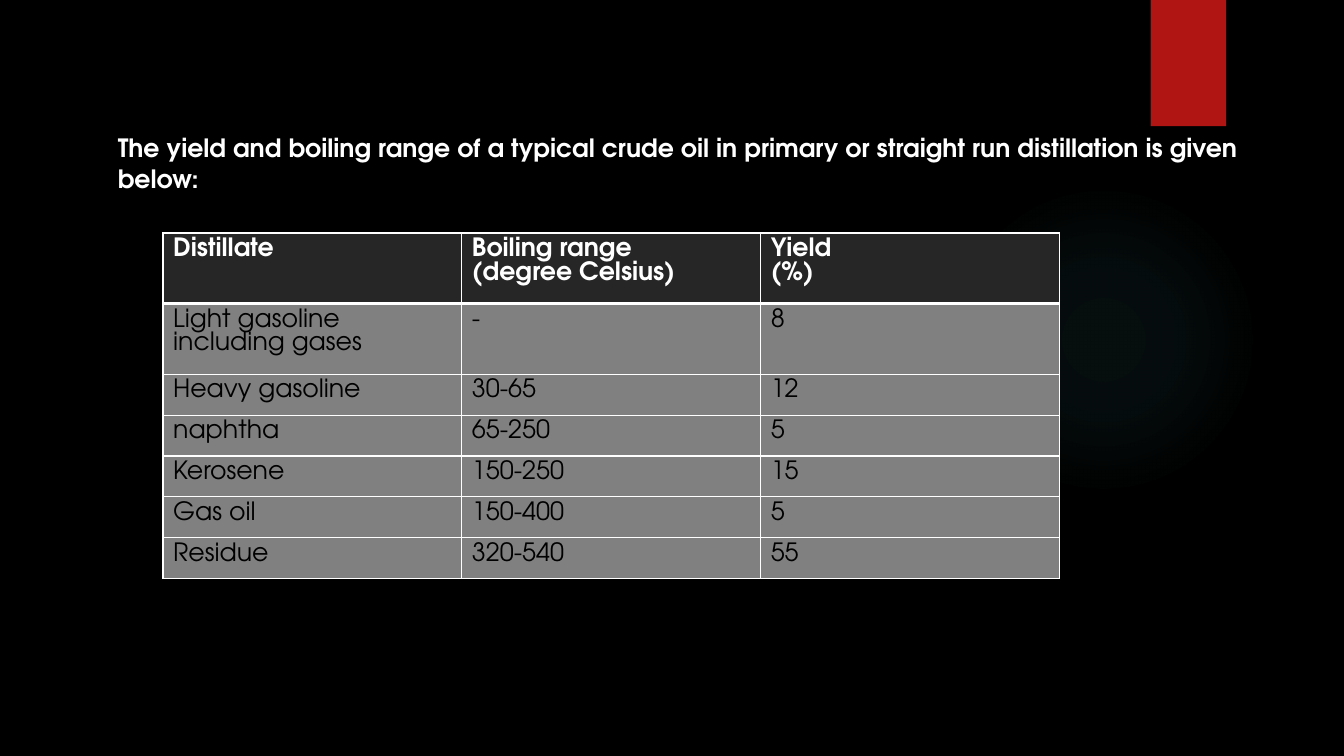
from pptx import Presentation
from pptx.dml.color import RGBColor
from pptx.enum.shapes import MSO_SHAPE as Shape
from pptx.oxml import parse_xml
from pptx.oxml.ns import nsdecls
from pptx.util import Cm, Pt


def tint(code):
    """Turn a hex string into a colour."""
    return RGBColor.from_string(code)


def write(frame, text, size=18, color="FFFFFF", bold=False,
          font="TeX Gyre Adventor"):
    """Fill a text frame, one paragraph per line of text."""
    frame.word_wrap = True
    for i, line in enumerate(text.split("\n")):
        para = frame.add_paragraph() if i else frame.paragraphs[0]
        run = para.add_run()
        run.text = line
        run.font.name = font
        run.font.size = Pt(size)
        run.font.bold = bold
        run.font.color.rgb = tint(color)


class Deck:
    """Hold the style and the current slide."""

    ink, red, glow = "000000", "B01513", "50B9C1"
    head, body, rule = "262626", "808080", "FFFFFF"

    def __init__(self, show):
        """Add a blank slide with a dark background."""
        self.slide = show.slides.add_slide(show.slide_layouts[6])
        back = self.slide.background.fill
        back.solid()
        back.fore_color.rgb = tint(self.ink)

    def shape(self, kind, x, y, w, h, color):
        """Draw a plain filled shape."""
        item = self.slide.shapes.add_shape(kind, Cm(x), Cm(y), Cm(w), Cm(h))
        item.shadow.inherit = False
        item.line.fill.background()
        item.fill.solid()
        item.fill.fore_color.rgb = tint(color)
        return item

    def halo(self, x, y, size, stops):
        """Draw a circle that fades out from its centre."""
        item = self.shape(Shape.OVAL, x, y, size, size, self.glow)
        marks = "".join(
            f'<a:gs pos="{pos * 1000}"><a:srgbClr val="{self.glow}">'
            f'<a:alpha val="{alpha * 1000}"/></a:srgbClr></a:gs>'
            for pos, alpha in stops)
        fade = parse_xml(
            f'<a:gradFill {nsdecls("a")} rotWithShape="1"><a:gsLst>{marks}</a:gsLst>'
            '<a:path path="circle"><a:fillToRect l="50000" t="50000" r="50000" '
            'b="50000"/></a:path></a:gradFill>')
        props = item._element.spPr
        props.replace(props.solidFill, fade)

    def text(self, x, y, w, h, words, **style):
        """Place a text box."""
        box = self.slide.shapes.add_textbox(Cm(x), Cm(y), Cm(w), Cm(h))
        write(box.text_frame, words, **style)

    def edge(self, cell, top, base):
        """Rule the four sides of a cell, with widths in points."""
        props = cell._tc.get_or_add_tcPr()
        for i, (side, wide) in enumerate(zip("LRTB", (1, 1, top, base))):
            props.insert(i, parse_xml(
                f'<a:ln{side} {nsdecls("a")} w="{Pt(wide)}"><a:solidFill>'
                f'<a:srgbClr val="{self.rule}"/></a:solidFill></a:ln{side}>'))

    def table(self, x, y, wide, tall, rows):
        """Build a ruled table with a dark header row."""
        grid = self.slide.shapes.add_table(
            len(rows), len(rows[0]), Cm(x), Cm(y),
            Cm(wide * len(rows[0])), Cm(sum(tall))).table
        for col in grid.columns:
            col.width = Cm(wide)
        for r, row in enumerate(rows):
            grid.rows[r].height = Cm(tall[r])
            for c, words in enumerate(row):
                cell = grid.cell(r, c)
                cell.fill.solid()
                cell.fill.fore_color.rgb = tint(self.body if r else self.head)
                self.edge(cell, 3 if r == 1 else 1, 1 if r else 3)
                write(cell.text_frame, words, bold=r == 0,
                      color=self.ink if r else self.rule)


def main():
    """Build and save the slide."""
    show = Presentation()
    show.slide_width, show.slide_height = Cm(33.87), Cm(19.05)
    deck = Deck(show)
    deck.halo(23.9, 4.65, 7.82, [(0, 7), (36, 6), (69, 0)])
    deck.shape(Shape.RECTANGLE, 29, 0, 1.9, 3.18, deck.red)
    deck.text(2.72, 3.22, 29.24, 4.11,
              "The yield and boiling range of a typical crude oil in primary "
              "or straight run distillation is given below:", bold=True)
    rows = [
        ("Distillate", "Boiling range\n(degree Celsius)", "Yield\n(%)"),
        ("Light gasoline including gases", "-", "8"),
        ("Heavy gasoline", "30-65", "12"),
        ("naphtha", "65-250", "5"),
        ("Kerosene", "150-250", "15"),
        ("Gas oil", "150-400", "5"),
        ("Residue", "320-540", "55"),
    ]
    deck.table(4.11, 5.87, 7.53, [1.78] * 2 + [1.03] * 5, rows)
    show.save("out.pptx")


if __name__ == "__main__":
    main()
